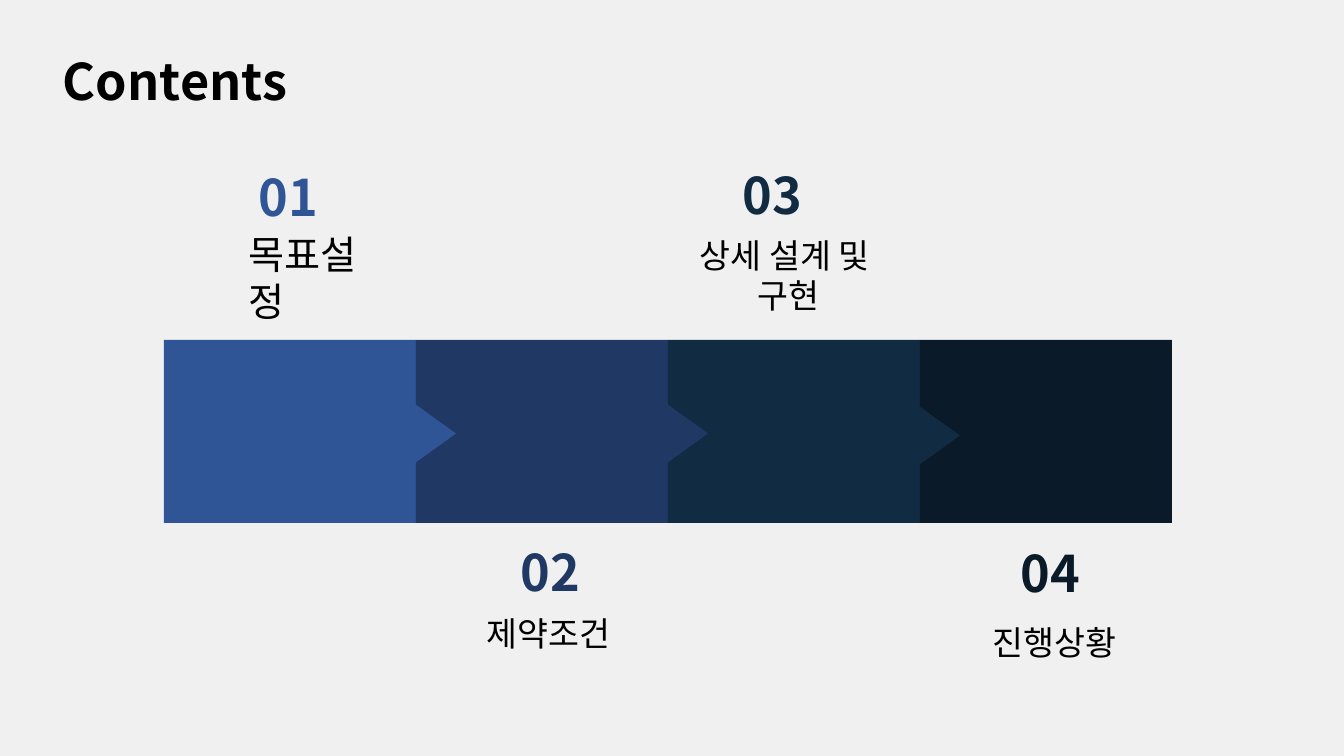
import pptx
import pptx.util
import pptx.dml.color
import pptx.enum.shapes
import pptx.enum.text
import lxml.etree
import pptx.oxml.ns

RGB = pptx.dml.color.RGBColor
KIND = pptx.enum.shapes.MSO_SHAPE
ALIGN = pptx.enum.text.PP_ALIGN
FIT = pptx.enum.text.MSO_AUTO_SIZE
PX = 914400 / 100.8
FONT = "Noto Sans CJK KR"
BACK = RGB(0xF0, 0xF0, 0xF0)
BLACK = RGB(0, 0, 0)
BLUE = RGB(0x2F, 0x55, 0x97)
NAVY = RGB(0x20, 0x38, 0x64)
TEAL = RGB(0x11, 0x2B, 0x43)
DARK = RGB(0x0A, 0x1A, 0x28)

deck = pptx.Presentation()
deck.slide_width = round(1344 * PX)
deck.slide_height = round(756 * PX)
slide = deck.slides.add_slide(deck.slide_layouts[6])
slide.background.fill.solid()
slide.background.fill.fore_color.rgb = BACK


def label(box, lines, size, color=BLACK, bold=False, align=ALIGN.LEFT):
    frame = slide.shapes.add_textbox(*[round(v * PX) for v in box]).text_frame
    frame.word_wrap = True
    frame.auto_size = FIT.SHAPE_TO_FIT_TEXT
    frame.text = lines
    for para in frame.paragraphs:
        para.alignment = align
        for run in para.runs:
            look = {"name": FONT, "size": pptx.util.Pt(size), "bold": bold}
            for key, value in look.items():
                setattr(run.font, key, value)
            run.font.color.rgb = color
            east = lxml.etree.SubElement(
                run.font._element, pptx.oxml.ns.qn("a:ea"))
            east.set("typeface", FONT)
    return frame


def block(kind, box, color):
    shape = slide.shapes.add_shape(kind, *[round(v * PX) for v in box])
    shape.shadow.inherit = False
    shape.fill.solid()
    shape.fill.fore_color.rgb = color
    shape.line.fill.background()
    return shape


title = label((53, 22, 247, 124), "Contents", 36, bold=True)
title.auto_size = FIT.NONE
title.vertical_anchor = pptx.enum.text.MSO_ANCHOR.MIDDLE
title.paragraphs[0].line_spacing = 0.9

# Number place, caption box, caption, size, alignment, colour
steps = [
    (249, 161, (239, 225, 128, 105), "목표설정", 28, ALIGN.LEFT, BLUE),
    (511, 536, (459, 608, 179, 50), "제약조건", 24, ALIGN.CENTER, NAVY),
    (733, 159, (680, 230, 217, 92), "상세 설계 및 \n구현", 24, ALIGN.CENTER, TEAL),
    (1011, 537, (942, 617, 225, 50), "진행상황", 24, ALIGN.CENTER, DARK),
]
for i, (x, y, box, words, size, align, color) in enumerate(steps):
    label((x, y, 134, 72), f"{i + 1:02}", 36, color, bold=True)
    label(box, words, size, align=align)
    block(KIND.RECTANGLE, (164 + 252 * i, 340, 252, 183), color)

for i, (top, color) in enumerate([(413, BLUE), (413, NAVY), (415, TEAL)]):
    tip = block(KIND.ISOSCELES_TRIANGLE, (406 + 252 * i, top, 59, 41), color)
    tip.rotation = 90

deck.save("out.pptx")
